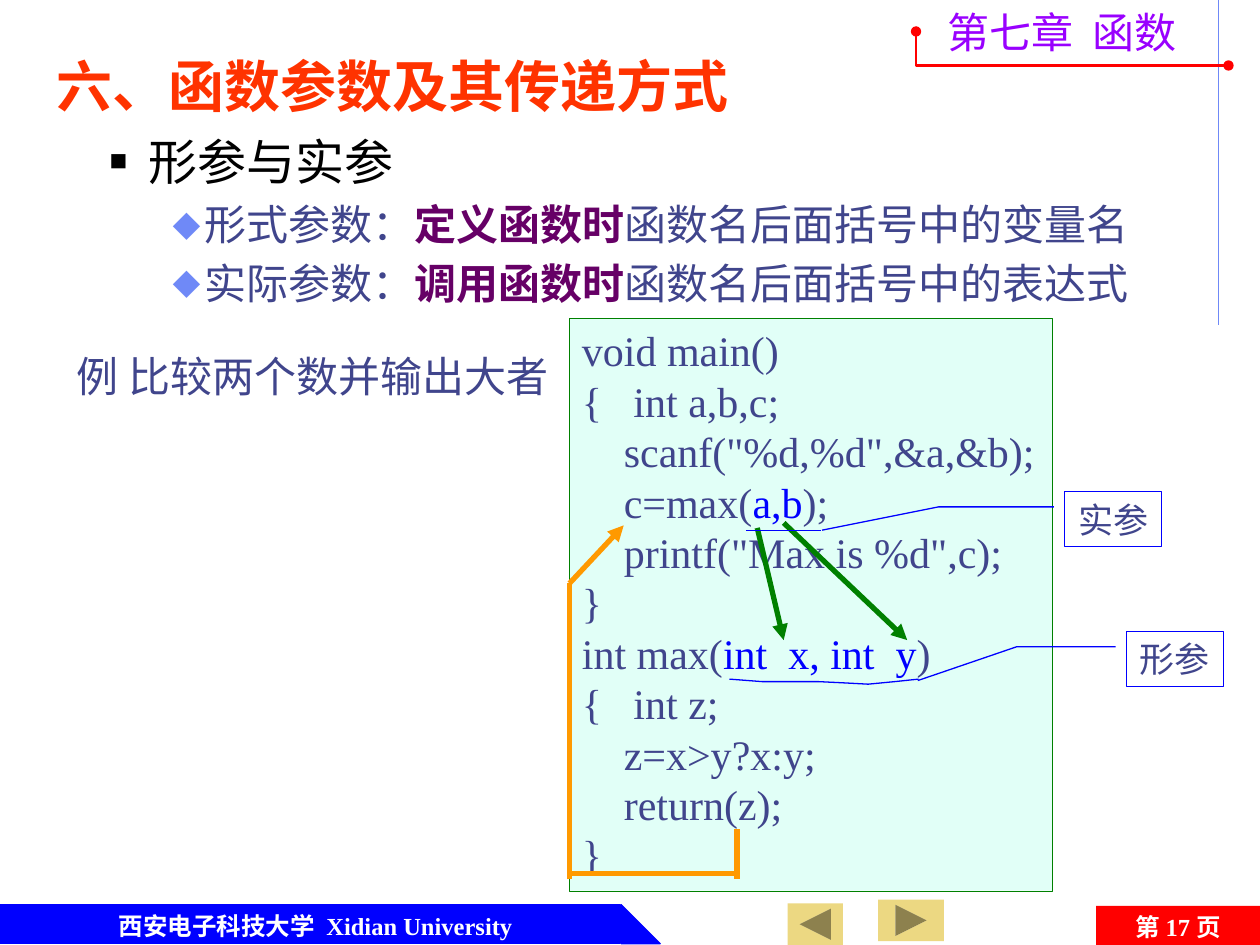
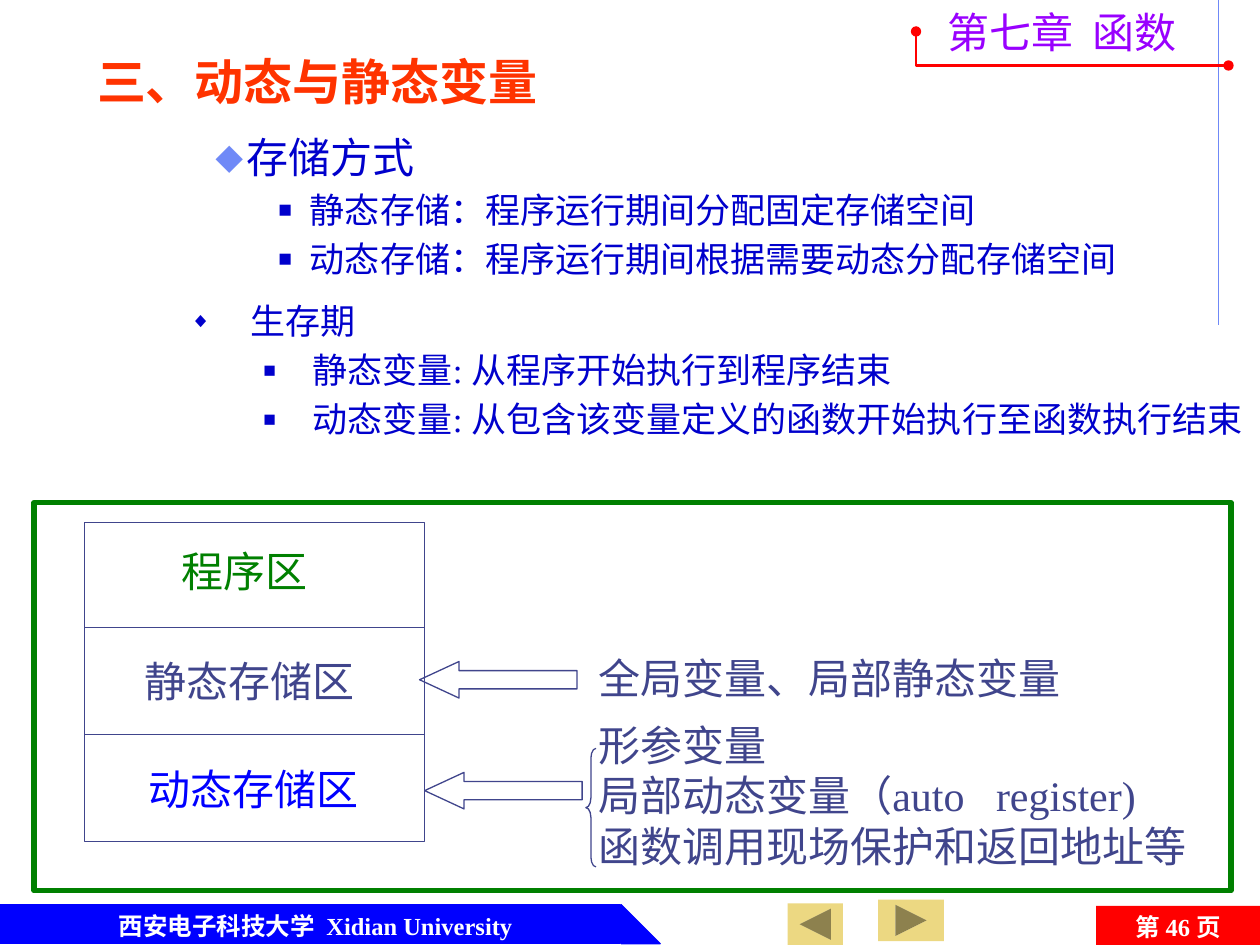
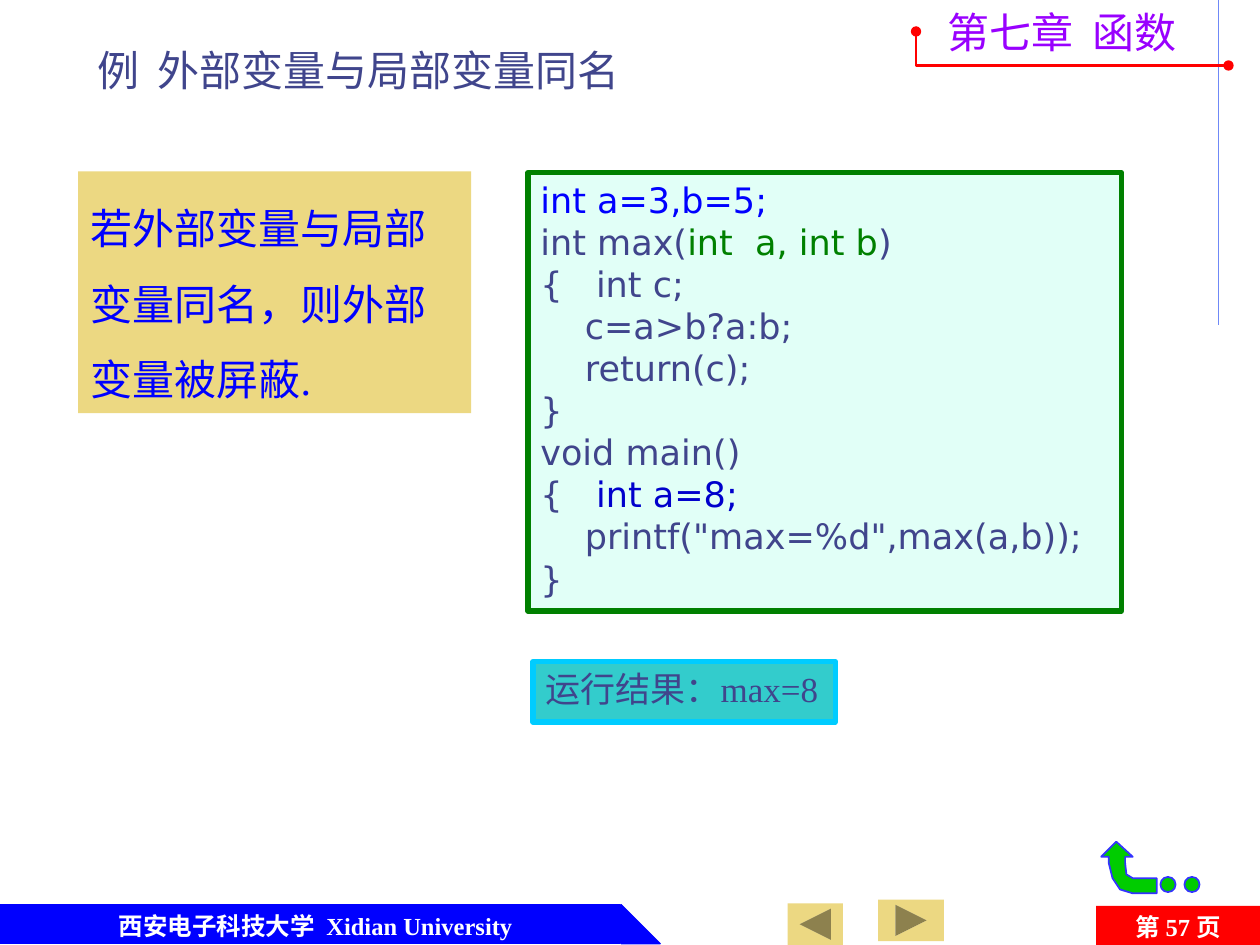
from dataclasses import dataclass

from lxml.etree import SubElement
from pptx import Presentation
from pptx.dml.color import RGBColor
from pptx.enum.shapes import MSO_CONNECTOR, MSO_SHAPE
from pptx.enum.text import MSO_ANCHOR, MSO_AUTO_SIZE, PP_ALIGN
from pptx.oxml.ns import qn
from pptx.util import Inches, Pt


@dataclass(frozen=True)
class Theme:
    ink: str = "40458C"
    black: str = "000000"
    white: str = "FFFFFF"
    blue: str = "0000FF"
    navy: str = "0000CC"
    soft_blue: str = "6F89F7"
    green: str = "008000"
    red: str = "FF0000"
    heading: str = "FF3300"
    chapter: str = "9900FF"
    plum: str = "660066"
    orange: str = "FF9900"
    sand: str = "ECD882"
    mint: str = "E1FFF7"
    teal: str = "33CCCC"
    cyan: str = "00CCFF"
    leaf: str = "00CC00"
    leaf_edge: str = "3333FF"
    serif: str = "Times New Roman"
    sans: str = "DejaVu Sans"
    cjk: str = "Noto Sans CJK SC"
    body: str = "Karla"
    huge: int = 32
    large: int = 28
    normal: int = 24
    small: int = 20
    footer: int = 14


@dataclass(frozen=True)
class Level:
    depth: int
    margin: float
    indent: float
    glyph: str
    percent: int
    size: int
    color: str = ""


theme = Theme()


def style(shape, fill=None, line=None, width=0.75, head=None, tail=None):
    """Set fill, outline and line ends, and take the shadow away."""
    if hasattr(shape, "fill"):
        if fill:
            shape.fill.solid()
            shape.fill.fore_color.rgb = RGBColor.from_string(fill)
        else:
            shape.fill.background()
    if line:
        shape.line.color.rgb = RGBColor.from_string(line)
        shape.line.width = Pt(width)
    else:
        shape.line.fill.background()
    outline = shape.line._get_or_add_ln()
    for tag, end in (("a:headEnd", head), ("a:tailEnd", tail)):
        if end:
            SubElement(outline, qn(tag), type=end)
    SubElement(shape.element.spPr, qn("a:effectLst"))
    return shape


def write(shape, lines, size=theme.normal, color=theme.ink, font=theme.serif,
          bold=False, align=PP_ALIGN.LEFT, anchor=MSO_ANCHOR.TOP, wrap=True,
          leading=1.2, levels=()):
    """Fill a shape; a line is a string or a list of (text, color, bold)."""
    frame = shape.text_frame
    frame.word_wrap = wrap
    frame.auto_size = MSO_AUTO_SIZE.NONE
    frame.vertical_anchor = anchor
    for number, line in enumerate(lines):
        paragraph = frame.paragraphs[0] if number == 0 else frame.add_paragraph()
        points = size
        if levels:
            level = levels[number]
            points = level.size
            paragraph.level = level.depth
            properties = paragraph._p.get_or_add_pPr()
            properties.set("marL", str(Inches(level.margin)))
            properties.set("indent", str(Inches(level.indent)))
            if level.color:
                tint = SubElement(properties, qn("a:buClr"))
                SubElement(tint, qn("a:srgbClr"), val=level.color)
            SubElement(properties, qn("a:buSzPct"), val=str(level.percent * 1000))
            SubElement(properties, qn("a:buChar"), char=level.glyph)
        paragraph.alignment = align
        paragraph.line_spacing = Pt(leading * points)
        paragraph.space_before = Pt(0.2 * points if levels and number else 0)
        paragraph.font.name = font
        paragraph.font.size = Pt(points)
        paragraph.font.bold = bold
        paragraph.font.color.rgb = RGBColor.from_string(color)
        for part in [(line,)] if isinstance(line, str) else line:
            run = paragraph.add_run()
            run.text = part[0]
            if len(part) > 1:
                run.font.color.rgb = RGBColor.from_string(part[1])
            if len(part) > 2:
                run.font.bold = part[2]
    return shape


prs = Presentation()
prs.slide_width, prs.slide_height = Inches(10), Inches(7.5)
TITLE_CONTENT, TWO_CONTENT, TITLE_ONLY = (prs.slide_layouts[i] for i in (1, 3, 5))
parameters = prs.slides.add_slide(TITLE_CONTENT)
storage = prs.slides.add_slide(TWO_CONTENT)
shadowing = prs.slides.add_slide(TITLE_ONLY)

# Placeholder positions
for placeholder, box in (
    (parameters.shapes.title, (0.35, 0.36, 7.17, 0.63)),
    (parameters.placeholders[1], (0.27, 0.99, 9.35, 2.31)),
    (storage.shapes.title, (0.67, 0.36, 4.27, 0.57)),
    (storage.placeholders[1], (0.61, 0.99, 9.39, 1.42)),
    (storage.placeholders[2], (0.61, 2.33, 9.39, 1.29)),
    (shadowing.shapes.title, (0.67, 0.33, 8.5, 0.47)),
):
    (placeholder.left, placeholder.top,
     placeholder.width, placeholder.height) = map(Inches, box)

# Shared parts: drawn once, then moved to the slide master
shapes = parameters.shapes
margin_line = style(shapes.add_connector(
    MSO_CONNECTOR.STRAIGHT, *map(Inches, (9.67, 0, 9.67, 2.58))), line=theme.soft_blue)
band = style(shapes.add_shape(
    MSO_SHAPE.RECTANGLE, *map(Inches, (0, 7.18, 4.92, 0.31))), theme.blue, theme.blue)
band_tip = style(shapes.add_shape(
    MSO_SHAPE.RIGHT_TRIANGLE, *map(Inches, (4.93, 7.18, 0.31, 0.31))),
    theme.blue, theme.blue)
school = write(shapes.add_textbox(*map(Inches, (0.29, 7.18, 4.43, 0.31))),
               ["西安电子科技大学  Xidian University"], theme.footer, theme.white,
               bold=True, align=PP_ALIGN.CENTER)
forward = style(shapes.add_shape(
    MSO_SHAPE.ACTION_BUTTON_FORWARD_OR_NEXT,
    *map(Inches, (6.97, 7.14, 0.52, 0.33))), theme.sand)
back = style(shapes.add_shape(
    MSO_SHAPE.ACTION_BUTTON_FORWARD_OR_NEXT,
    *map(Inches, (6.25, 7.17, 0.44, 0.33))), theme.sand)
back.rotation = 180
chapter = write(shapes.add_textbox(*map(Inches, (7.42, 0, 2.2, 0.5))),
                ["第七章  函数"], color=theme.chapter, font=theme.cjk, wrap=False)
corner_path = shapes.build_freeform(Inches(7.27), Inches(0.25))
corner_path.add_line_segments(
    [(Inches(7.27), Inches(0.52)), (Inches(9.75), Inches(0.52))], close=False)
corner = style(corner_path.convert_to_shape(), line=theme.red, width=1.5,
               head="oval", tail="oval")
master = prs.slide_master.shapes.element
for number, part in enumerate(
        (margin_line, band, band_tip, school, forward, back, chapter, corner), 20):
    part.element.xpath(".//p:cNvPr")[0].set("id", str(number))
    master.append(part.element)

# Page numbers
for slide, page in ((parameters, 17), (storage, 46), (shadowing, 57)):
    page_box = style(slide.shapes.add_shape(
        MSO_SHAPE.RECTANGLE, *map(Inches, (8.7, 7.19, 1.3, 0.33))), theme.red)
    write(page_box, [[("第 ",), (f"{page} ",), ("页",)]], theme.footer, theme.white,
          bold=True, align=PP_ALIGN.CENTER)

# Slide 1: formal and actual parameters
write(parameters.shapes.title, ["六、函数参数及其传递方式"], theme.huge, theme.heading,
      theme.cjk, bold=True)
topic = Level(1, 0.81, -0.31, "■", 60, theme.large)
diamond = Level(2, 1.25, -0.25, "⬥", 95, theme.normal, theme.soft_blue)
write(parameters.placeholders[1], [
    [("形参与实参", theme.black)],
    [("形式参数：",), ("定义函数时", theme.plum, True), ("函数名后面括号中的变量名",)],
    [("实际参数：",), ("调用函数时", theme.plum, True), ("函数名后面括号中的表达式",)],
], font=theme.body, levels=(topic, diamond, diamond))
write(shapes.add_textbox(*map(Inches, (0.51, 2.73, 3.95, 0.5))),
      ["例 比较两个数并输出大者"], wrap=False)

max_code = style(shapes.add_shape(
    MSO_SHAPE.RECTANGLE, *map(Inches, (4.52, 2.53, 3.83, 4.54))),
    theme.mint, theme.green, 0.25)
write(max_code, [
    "void main()",
    "{   int a,b,c;",
    "    scanf(\"%d,%d\",&a,&b);",
    [("    c=max(",), ("a,b", theme.blue), (");",)],
    "    printf(\"Max is %d\",c);",
    "}",
    [("int max(",), ("int  x, int  y", theme.blue), (")",)],
    "{   int z;",
    "    z=x>y?x:y;",
    "    return(z);",
    "}",
])

# Arguments passed down, result passed back, underline of the arguments
for ends, color, width, tail in (
    ((6.01, 4.19, 6.22, 5.08), theme.green, 3, "triangle"),
    ((6.22, 4.15, 7.2, 5.08), theme.green, 3, "triangle"),
    ((5.85, 6.58, 5.85, 6.98), theme.orange, 3, None),
    ((5.87, 6.93, 4.53, 6.93), theme.orange, 3, None),
    ((4.52, 6.98, 4.52, 4.63), theme.orange, 3, None),
    ((4.52, 4.63, 4.95, 4.17), theme.orange, 3, "triangle"),
    ((5.92, 4.21, 6.52, 4.21), theme.blue, 0.75, None),
):
    style(shapes.add_connector(MSO_CONNECTOR.STRAIGHT, *map(Inches, ends)),
          line=color, width=width, tail=tail)
wave_path = shapes.build_freeform(Inches(5.79), Inches(5.39))
wave_path.add_line_segments([(Inches(x), Inches(y)) for x, y in (
    (6.05, 5.41), (6.28, 5.41), (6.5, 5.41), (6.7, 5.42), (6.89, 5.43),
    (7.1, 5.41), (7.29, 5.39))], close=False)
style(wave_path.convert_to_shape(), line=theme.blue)

# Callouts
for label, left, top, leader in (
    ("形参", 8.94, 5.01, (0.28, -0.11, 0.28, -1.13, 0.89, -2.15)),
    ("实参", 8.45, 3.9, (0.28, -0.11, 0.28, -1.3, 0.7, -2.5)),
):
    callout = style(shapes.add_shape(
        MSO_SHAPE.LINE_CALLOUT_2, *map(Inches, (left, top, 0.77, 0.44))),
        theme.white, theme.blue)
    for index, value in enumerate(leader):
        callout.adjustments[index] = value
    write(callout, [label], theme.small, align=PP_ALIGN.CENTER,
          anchor=MSO_ANCHOR.MIDDLE, wrap=False)

# Slide 2: dynamic and static variables
shapes = storage.shapes
write(shapes.title, ["三、动态与静态变量"], theme.large, theme.heading, bold=True)
square = Level(3, 1.75, -0.25, "■", 65, theme.small)
write(storage.placeholders[1], [
    "存储方式",
    "静态存储：程序运行期间分配固定存储空间",
    "动态存储：程序运行期间根据需要动态分配存储空间",
], color=theme.navy, font=theme.body, levels=(diamond, square, square))
lifetime = Level(2, 1.28, -0.48, "◆", 60, theme.small)
wide_square = Level(3, 1.77, -0.39, "■", 60, theme.small)
write(storage.placeholders[2], [
    "生存期",
    "静态变量: 从程序开始执行到程序结束",
    "动态变量: 从包含该变量定义的函数开始执行至函数执行结束",
], color=theme.navy, levels=(lifetime, wide_square, wide_square))

# Memory map
style(shapes.add_shape(MSO_SHAPE.RECTANGLE, *map(Inches, (0.27, 3.99, 9.5, 3.08))),
      theme.white, theme.green, 3)
style(shapes.add_shape(MSO_SHAPE.RECTANGLE, *map(Inches, (0.67, 4.15, 2.7, 2.53))),
      line=theme.ink)
for y in (4.98, 5.83):
    style(shapes.add_connector(
        MSO_CONNECTOR.STRAIGHT, *map(Inches, (0.67, y, 3.37, y))), line=theme.ink)
for box, lines, color in (
    ((1.34, 4.28, 1.2, 0.5), ["程序区"], theme.green),
    ((1.05, 5.15, 1.87, 0.5), ["静态存储区"], theme.ink),
    ((1.08, 6.01, 1.87, 0.5), ["动态存储区"], theme.blue),
    ((4.65, 5.13, 3.87, 0.5), ["全局变量、局部静态变量"], theme.ink),
    ((4.65, 5.66, 4.87, 1.3),
     ["形参变量", "局部动态变量（auto   register)", "函数调用现场保护和返回地址等"],
     theme.ink),
):
    write(shapes.add_textbox(*map(Inches, box)), lines, color=color,
          anchor=MSO_ANCHOR.MIDDLE, wrap=False)
for kind, box, bend in (
    (MSO_SHAPE.LEFT_ARROW, (3.33, 5.25, 1.25, 0.29), (0.5, 1.08)),
    (MSO_SHAPE.LEFT_ARROW, (3.37, 6.13, 1.25, 0.29), (0.5, 1.08)),
    (MSO_SHAPE.LEFT_BRACE, (4.65, 5.94, 0.08, 0.94), (0.97, 0.5)),
):
    pointer = style(shapes.add_shape(kind, *map(Inches, box)), line=theme.ink)
    pointer.adjustments[0], pointer.adjustments[1] = bend

# Slide 3: global and local variables of the same name
shapes = shadowing.shapes
write(shapes.title, ["例  外部变量与局部变量同名"], anchor=MSO_ANCHOR.BOTTOM)
rule = style(shapes.add_shape(
    MSO_SHAPE.RECTANGLE, *map(Inches, (0.62, 1.36, 3.12, 1.92))), theme.sand)
write(rule, ["若外部变量与局部变量同名，则外部变量被屏蔽."], color=theme.blue, leading=1.8)
same_name_code = style(shapes.add_shape(
    MSO_SHAPE.RECTANGLE, *map(Inches, (4.19, 1.37, 4.71, 3.48))),
    theme.mint, theme.green, 3)
write(same_name_code, [
    [("int a=3,b=5;", theme.blue)],
    [("int max(",), ("int  a, int b", theme.green), (")",)],
    "{   int c;",
    "    c=a>b?a:b;",
    "    return(c);",
    "}",
    "void main()",
    [("{   ",), ("int a=8;", theme.navy)],
    "    printf(\"max=%d\",max(a,b));",
    "}",
], theme.small, font=theme.sans)
result = style(shapes.add_shape(
    MSO_SHAPE.RECTANGLE, *map(Inches, (4.23, 5.25, 2.4, 0.48))),
    theme.teal, theme.cyan, 3)
write(result, ["运行结果：max=8"], theme.small)

# Return sign
return_path = shapes.build_freeform(Inches(8.86), Inches(6.68))
return_path.add_line_segments([(Inches(x), Inches(y)) for x, y in (
    (8.74, 6.8), (8.8, 6.8), (8.8, 6.85), (8.83, 6.97), (8.89, 7.06), (8.99, 7.09),
    (9.18, 7.09), (9.18, 6.97), (8.99, 6.97), (8.94, 6.94), (8.93, 6.85),
    (8.93, 6.8), (8.99, 6.8))])
style(return_path.convert_to_shape(), theme.leaf, theme.leaf_edge, 1)
for left in (9.21, 9.4):
    style(shapes.add_shape(MSO_SHAPE.OVAL, *map(Inches, (left, 6.96, 0.12, 0.12))),
          theme.leaf, theme.leaf_edge, 1)

prs.save("out.pptx")
